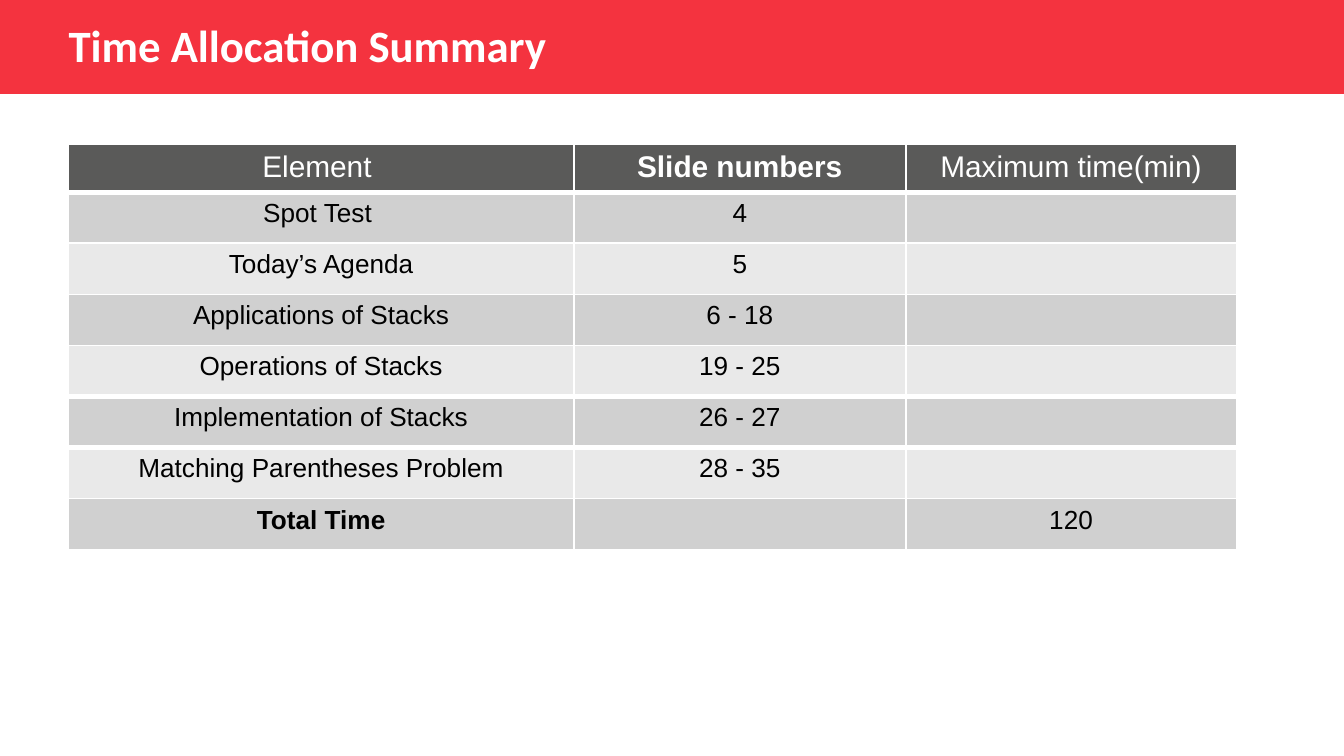
from lxml import etree
from pptx import Presentation
from pptx import util as u
from pptx.dml.color import RGBColor
from pptx.enum import shapes, text
from pptx.oxml.ns import qn

# Content
TITLE = "Time Allocation Summary"
HEADER = ("Element ", "Slide numbers", "Maximum time(min)")
ELEMENTS = [
    ("Spot Test ", "4", ""),
    ("Today’s Agenda", "5", ""),
    ("Applications of Stacks", "6 - 18", ""),
    ("Operations of Stacks", "19 - 25", ""),
    ("Implementation of Stacks", "26 - 27", ""),
    ("Matching Parentheses Problem", "28 - 35", ""),
    ("Total Time", "", "120"),
]
BOLD_CELLS = {"Slide numbers", "Total Time"}
THICK_BELOW = {0, 4, 5}  # table rows followed by a thick rule

# Colours, fonts and type sizes
THEME = {
    "band": "F4333F",
    "header": "5A5A59",
    "stripes": ("D0D0D0", "E9E9E9"),
    "rule": "FFFFFF",
    "light": "FFFFFF",
    "dark": "000000",
    "title_font": "Calibri",
    "table_font": "Arial",
    "title_size": 24,
    "header_size": 16,
    "body_size": 14,
    "thin": 1,
    "thick": 3,
}

# Layout in inches
SLIDE_W = 10
SLIDE_H = SLIDE_W * 9 / 16
TITLE_BOX = (0.41, -0.1, 6.68, 0.86)
TABLE_LEFT, TABLE_TOP = 0.51, 1.07
COLUMN_WIDTHS = (3.76, 2.47, 2.46)
ROW_HEIGHTS = [0.36] + [0.38] * len(ELEMENTS)


def style_font(font, color, **values):
    for name, value in values.items():
        setattr(font, name, value)
    font.color.rgb = RGBColor.from_string(color)


def rule_cell(cell, top, bottom):
    """Draw the four borders of a cell, widths in points."""
    properties = cell._tc.get_or_add_tcPr()
    widths = {"a:lnL": THEME["thin"], "a:lnR": THEME["thin"],
              "a:lnT": top, "a:lnB": bottom}
    for side, width in widths.items():
        line = etree.SubElement(properties, qn(side), w=str(u.Pt(width)))
        fill = etree.SubElement(line, qn("a:solidFill"))
        etree.SubElement(fill, qn("a:srgbClr"), val=THEME["rule"])


def rule_below(row):
    return THEME["thick" if row in THICK_BELOW else "thin"]


def add_heading(slide):
    # Red band, placed behind the title
    band = slide.shapes.add_shape(shapes.MSO_SHAPE.RECTANGLE, 0, 0,
                                  u.Inches(SLIDE_W), u.Inches(0.7))
    band.shadow.inherit = False
    band.fill.solid()
    band.fill.fore_color.rgb = RGBColor.from_string(THEME["band"])
    band.line.fill.background()
    heading = slide.shapes.title
    heading._element.addprevious(band._element)

    # Title
    for name, value in zip(("left", "top", "width", "height"), TITLE_BOX):
        setattr(heading, name, u.Inches(value))
    heading.text_frame.text = TITLE
    heading.text_frame.vertical_anchor = text.MSO_ANCHOR.MIDDLE
    paragraph = heading.text_frame.paragraphs[0]
    paragraph.alignment = text.PP_ALIGN.LEFT
    paragraph.space_before = u.Pt(10)
    style_font(paragraph.runs[0].font, THEME["light"], bold=True,
               name=THEME["title_font"], size=u.Pt(THEME["title_size"]))


def add_schedule(slide):
    rows = [HEADER] + ELEMENTS
    schedule = slide.shapes.add_table(
        len(rows), len(HEADER), u.Inches(TABLE_LEFT), u.Inches(TABLE_TOP),
        u.Inches(sum(COLUMN_WIDTHS)), u.Inches(sum(ROW_HEIGHTS))).table
    for column, width in zip(schedule.columns, COLUMN_WIDTHS):
        column.width = u.Inches(width)

    for r, (entries, height) in enumerate(zip(rows, ROW_HEIGHTS)):
        schedule.rows[r].height = u.Inches(height)
        if r == 0:
            fill, color, size = THEME["header"], THEME["light"], THEME["header_size"]
        else:
            fill = THEME["stripes"][(r - 1) % 2]
            color, size = THEME["dark"], THEME["body_size"]
        for c, entry in enumerate(entries):
            cell = schedule.cell(r, c)
            rule_cell(cell, rule_below(r - 1), rule_below(r))
            cell.fill.solid()
            cell.fill.fore_color.rgb = RGBColor.from_string(fill)
            paragraph = cell.text_frame.paragraphs[0]
            paragraph.alignment = text.PP_ALIGN.CENTER
            if entry:
                run = paragraph.add_run()
                run.text = entry
                style_font(run.font, color, size=u.Pt(size),
                           name=THEME["table_font"], bold=entry in BOLD_CELLS)
            else:
                # Keeps an empty cell from stretching its row
                etree.SubElement(paragraph._p, qn("a:endParaRPr"), sz=str(size * 100))


def main():
    deck = Presentation()
    deck.slide_width, deck.slide_height = u.Inches(SLIDE_W), u.Inches(SLIDE_H)
    slide = deck.slides.add_slide(deck.slide_layouts[5])  # Title Only
    add_heading(slide)
    add_schedule(slide)
    deck.save("out.pptx")


if __name__ == "__main__":
    main()
